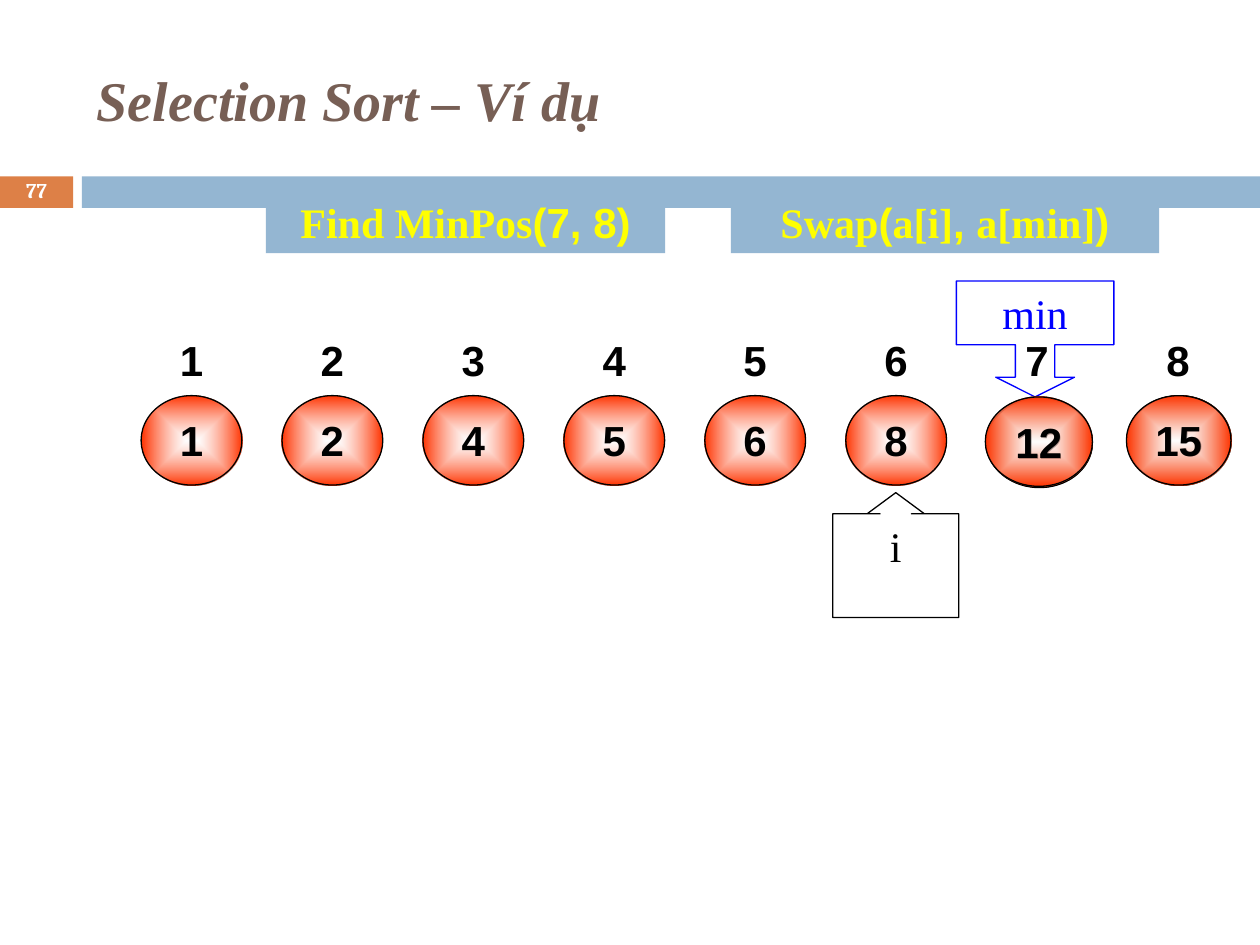
from dataclasses import dataclass

from pptx import Presentation
from pptx.dml.color import RGBColor as Color
from pptx.enum.shapes import MSO_SHAPE as Shape
from pptx.enum.text import MSO_ANCHOR as Anchor, PP_ALIGN as Align
from pptx.oxml import parse_xml
from pptx.oxml.ns import nsdecls, qn
from pptx.util import Inches, Pt


@dataclass(frozen=True)
class Theme:
    orange: str = "DD8047"
    blue: str = "94B6D2"
    brown: str = "775F55"
    red: str = "FF3300"
    white: str = "FFFFFF"
    black: str = "000000"
    yellow: str = "FFFF00"
    marker: str = "0000FF"
    serif: str = "Times New Roman"
    sans: str = "Arial"
    number_font: str = "Cambria"
    title_size: int = 32
    body_size: int = 24
    number_size: int = 12
    line_width: float = 0.75


THEME = Theme()
VALUES = [1, 2, 4, 5, 6, 8, 12, 15]
FIRST_LEFT, LAST_LEFT = 1.12, 8.95
PITCH = (LAST_LEFT - FIRST_LEFT) / (len(VALUES) - 1)
BALL_TOP, LABEL_TOP = 3.14, 2.5
BALL_WIDTH, BALL_HEIGHT = 0.8, 0.71


def write_text(shape, *pieces, font=THEME.serif, size=THEME.body_size, color=THEME.black,
               bold=False, italic=False, align=Align.CENTER, anchor=Anchor.TOP, spacing=None):
    frame = shape.text_frame
    frame.word_wrap = True
    frame.vertical_anchor = anchor
    para = frame.paragraphs[0]
    para.alignment = align
    if spacing:
        para.line_spacing = spacing
    for piece in pieces:
        text, face = piece if isinstance(piece, tuple) else (piece, font)
        span = para.add_run()
        span.text = text
        span.font.name = face
        span.font.size = Pt(size)
        span.font.bold = bold
        span.font.italic = italic
        span.font.color.rgb = Color.from_string(color)


def add_box(shapes, kind, left, top, width, height, fill=None, line=None, adjustments=()):
    box = shapes.add_shape(kind, Inches(left), Inches(top), Inches(width), Inches(height))
    box.shadow.inherit = False
    for index, value in enumerate(adjustments):
        box.adjustments[index] = value
    if fill:
        box.fill.solid()
        box.fill.fore_color.rgb = Color.from_string(fill)
    else:
        box.fill.background()
    if line:
        box.line.color.rgb = Color.from_string(line)
        box.line.width = Pt(THEME.line_width)
    else:
        box.line.fill.background()
    return box


def add_text_box(page, left, top, width, height, text, **style):
    box = page.shapes.add_textbox(Inches(left), Inches(top), Inches(width), Inches(height))
    write_text(box, text, anchor=Anchor.MIDDLE, **style)


def glow(shape, edge):
    shape.fill.gradient()
    properties = shape.element.spPr
    properties.replace(properties.find(qn("a:gradFill")), parse_xml(
        f'<a:gradFill {nsdecls("a")} rotWithShape="1"><a:gsLst>'
        f'<a:gs pos="0"><a:srgbClr val="{THEME.white}"><a:alpha val="60000"/></a:srgbClr></a:gs>'
        f'<a:gs pos="100000"><a:srgbClr val="{edge}"/></a:gs></a:gsLst>'
        '<a:path path="rect"><a:fillToRect l="50000" t="50000" r="50000" b="50000"/></a:path>'
        '</a:gradFill>'))


def add_ball(page, value, left, top=BALL_TOP, width=BALL_WIDTH, edge=THEME.red):
    ball = add_box(page.shapes, Shape.OVAL, left, top, width, BALL_HEIGHT, line=THEME.black)
    glow(ball, edge)
    write_text(ball, str(value), font=THEME.sans, bold=True)


def add_balls(page):
    for index, value in enumerate(VALUES[:6]):
        add_ball(page, value, FIRST_LEFT + index * PITCH)
    add_ball(page, VALUES[6], 7.83, top=3.16, width=0.84, edge=THEME.orange)
    add_ball(page, VALUES[7], LAST_LEFT, width=0.82, edge=THEME.orange)


def add_sorted_balls(page):
    add_ball(page, VALUES[6], 7.82, top=3.15, width=0.85)
    add_ball(page, VALUES[7], 8.94, width=0.83)


def add_labels(page):
    group = page.shapes.add_group_shape()
    for index in range(len(VALUES)):
        label = add_box(group.shapes, Shape.OVAL, FIRST_LEFT + index * PITCH, LABEL_TOP,
                        BALL_WIDTH, BALL_HEIGHT)
        write_text(label, str(index + 1), font=THEME.sans, bold=True)


def add_pointer(page, kind, left, top, width, height, text, color, adjustments):
    pointer = add_box(page.shapes, kind, left, top, width, height,
                      line=color, adjustments=adjustments)
    write_text(pointer, text, color=color)


def add_step(page, left, width, *pieces):
    step = add_box(page.shapes, Shape.RECTANGLE, left, 1.51, width, 0.5, fill=THEME.blue)
    write_text(step, *pieces, color=THEME.yellow, bold=True)


def add_header(page):
    add_box(page.shapes, Shape.RECTANGLE, 0, 1.4, 0.58, 0.25, fill=THEME.orange)
    add_box(page.shapes, Shape.RECTANGLE, 0.65, 1.4, 9.35, 0.25, fill=THEME.blue)
    add_text_box(page, 0.67, 0.25, 8.92, 1.08, "Selection Sort – Ví dụ", size=THEME.title_size,
                 color=THEME.brown, bold=True, italic=True, align=Align.LEFT)
    add_text_box(page, 0, 1.39, 0.58, 0.27, "77", font=THEME.number_font,
                 size=THEME.number_size, color=THEME.white, bold=True, spacing=0.8)


def main():
    deck = Presentation()
    deck.slide_width, deck.slide_height = Inches(10), Inches(7.5)
    page = deck.slides.add_slide(deck.slide_layouts[6])
    add_header(page)
    add_balls(page)
    add_pointer(page, Shape.UP_ARROW_CALLOUT, 6.61, 3.91, 1, 0.99, "i", THEME.black,
                (0.25, 0.23, 0.17, 0.99))
    add_pointer(page, Shape.DOWN_ARROW_CALLOUT, 7.59, 2.23, 1.25, 0.92, "min", THEME.marker,
                (0.34, 0.34, 0.17, 0.55))
    add_labels(page)
    add_step(page, 2.11, 3.17, "Find MinPos", ("(7, 8)", THEME.sans))
    add_step(page, 5.8, 3.4, "Swap", ("(", THEME.sans), "a[i]", (", ", THEME.sans),
             "a[min]", (")", THEME.sans))
    add_sorted_balls(page)
    deck.save("out.pptx")


if __name__ == "__main__":
    main()
